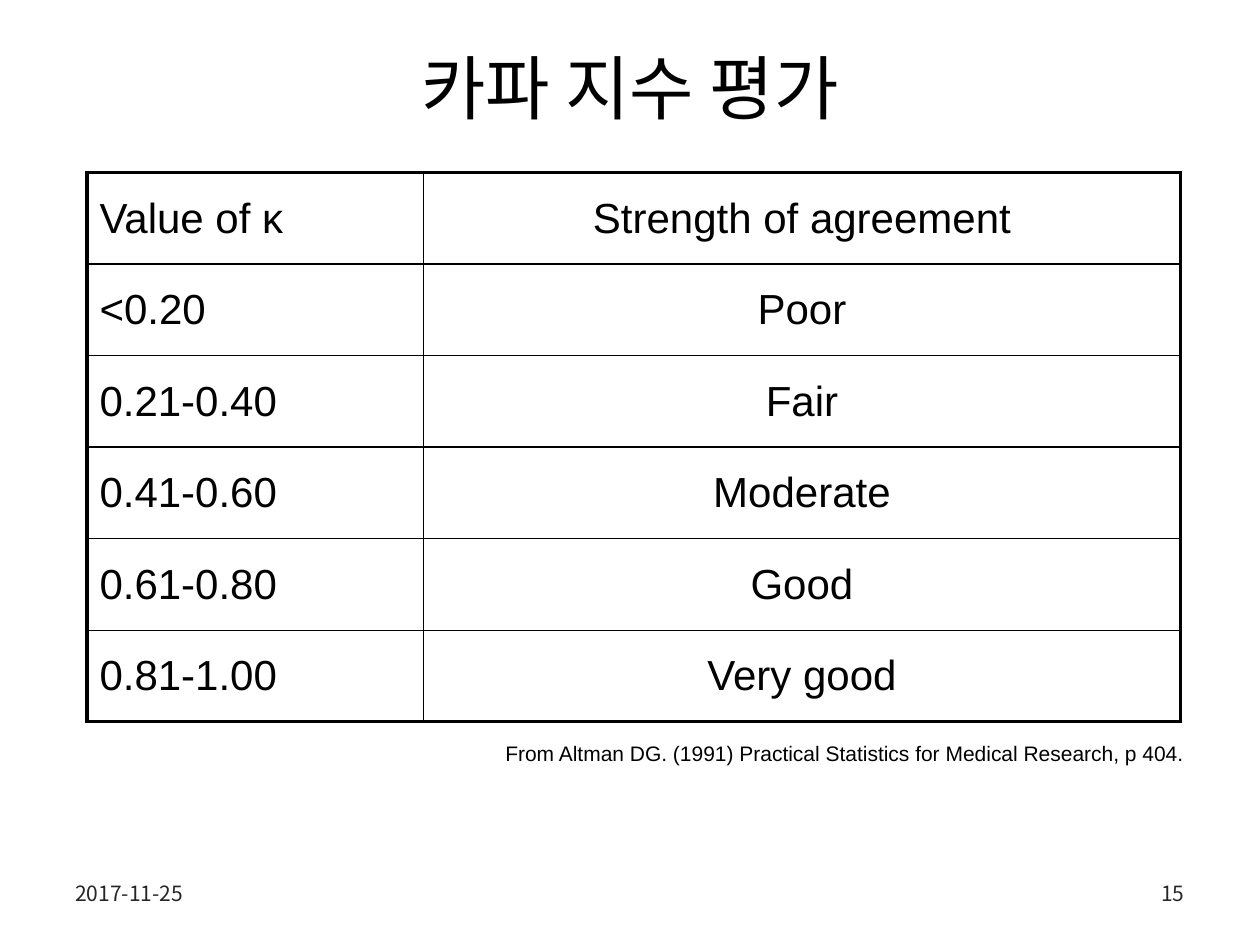
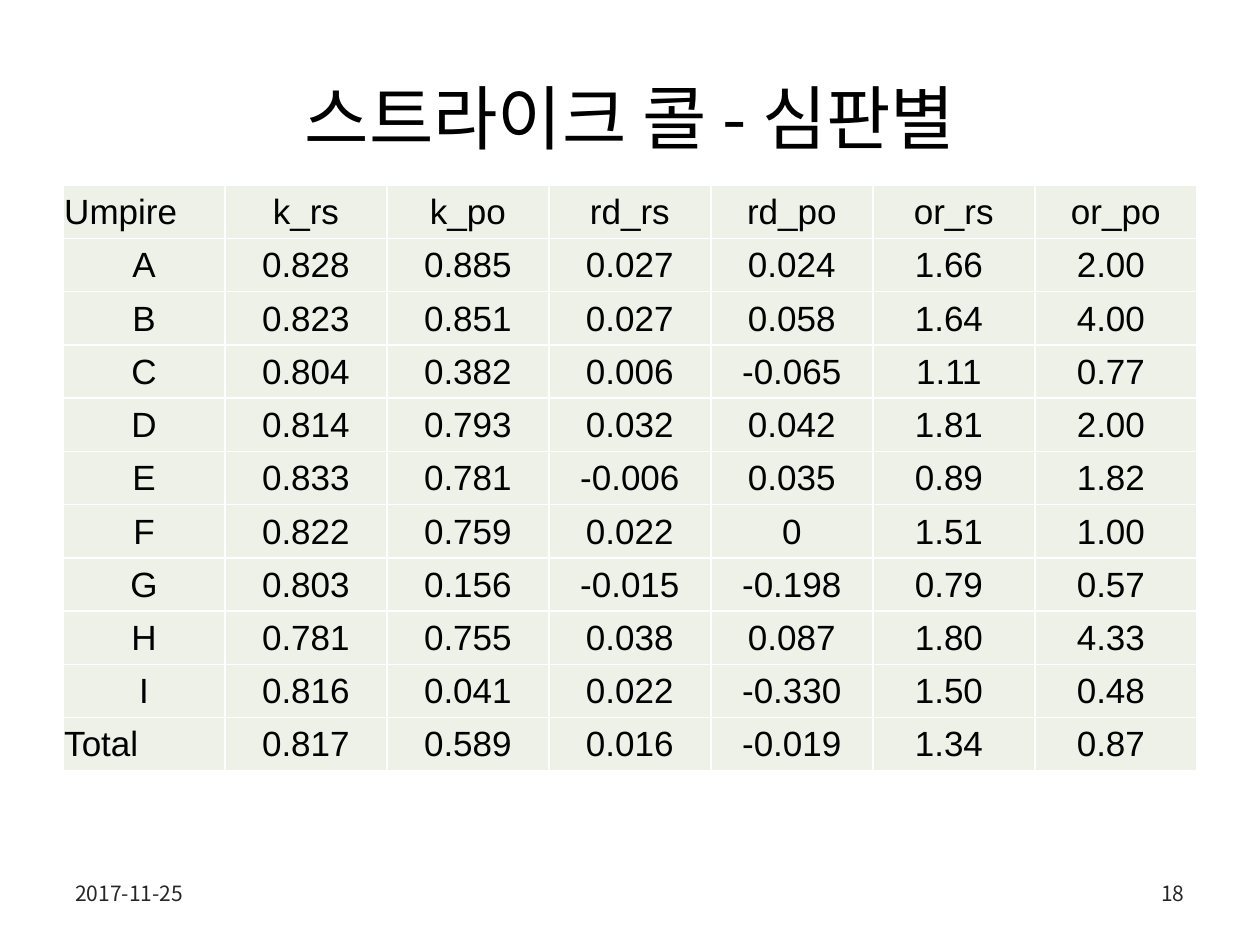
from lxml import etree
from pptx import Presentation
from pptx import util as u
from pptx.dml.color import RGBColor
from pptx.enum import text
from pptx.oxml import ns

BLACK = RGBColor(0x00, 0x00, 0x00)
GREY = RGBColor(0x26, 0x26, 0x26)
WHITE = RGBColor(0xFF, 0xFF, 0xFF)
PALE_GREEN = RGBColor(0xED, 0xF1, 0xE8)

KOREAN = "Noto Sans CJK KR"
LATIN = "Arial"
LEFT, CENTER, RIGHT = text.PP_ALIGN.LEFT, text.PP_ALIGN.CENTER, text.PP_ALIGN.RIGHT
MIDDLE, TOP = text.MSO_ANCHOR.MIDDLE, text.MSO_ANCHOR.TOP

# Grid of half-inch squares
COLUMNS, ROWS = 20, 15
MARGIN = 1
FULL_WIDTH = COLUMNS - 2 * MARGIN

KAPPA_ROWS = [
    ("Value of κ", "Strength of agreement"),
    ("<0.20", "Poor"),
    ("0.21-0.40", "Fair"),
    ("0.41-0.60", "Moderate"),
    ("0.61-0.80", "Good"),
    ("0.81-1.00", "Very good"),
]

UMPIRE_ROWS = [
    ("Umpire", "k_rs", "k_po", "rd_rs", "rd_po", "or_rs", "or_po"),
    ("A", "0.828", "0.885", "0.027", "0.024", "1.66 ", "2.00 "),
    ("B", "0.823", "0.851", "0.027", "0.058", "1.64 ", "4.00 "),
    ("C", "0.804", "0.382", "0.006", "-0.065", "1.11 ", "0.77 "),
    ("D", "0.814", "0.793", "0.032", "0.042", "1.81 ", "2.00 "),
    ("E", "0.833", "0.781", "-0.006", "0.035", "0.89 ", "1.82 "),
    ("F", "0.822", "0.759", "0.022", "0", "1.51 ", "1.00 "),
    ("G", "0.803", "0.156", "-0.015", "-0.198", "0.79 ", "0.57 "),
    ("H", "0.781", "0.755", "0.038", "0.087", "1.80 ", "4.33 "),
    ("I", "0.816", "0.041", "0.022", "-0.330", "1.50 ", "0.48 "),
    ("Total", "0.817", "0.589", "0.016", "-0.019", "1.34 ", "0.87 "),
]


class Deck:
    """Holds the shared style and the current slide."""

    def __init__(self):
        self.file = Presentation()
        self.file.slide_width, self.file.slide_height = u.Inches(10), u.Inches(7.5)
        self.slide = None

    def across(self, columns):
        return round(self.file.slide_width * columns / COLUMNS)

    def down(self, rows):
        return round(self.file.slide_height * rows / ROWS)

    def area(self, left, top, width, height):
        return self.across(left), self.down(top), self.across(width), self.down(height)

    def page(self, title, title_height, number):
        self.slide = self.file.slides.add_slide(self.file.slide_layouts[6])
        self.slide.background.fill.solid()
        self.slide.background.fill.fore_color.rgb = WHITE
        self.label(title, (MARGIN, 0.6, FULL_WIDTH, title_height), 40, KOREAN, BLACK, CENTER)
        # Footer: date on the left, page number on the right
        width = 4.66
        for words, left, align in (("2017-11-25", MARGIN, LEFT),
                                   (number, COLUMNS - MARGIN - width, RIGHT)):
            self.label(words, (left, 13.66, width, 1.04), 12, KOREAN, GREY, align)

    def style(self, para, size, font, color, align):
        para.alignment = align
        for span in para.runs:
            span.font.size, span.font.name = u.Pt(size), font
            span.font.color.rgb = color
            east_asian = etree.SubElement(span.font._element, ns.qn("a:ea"))
            east_asian.set("typeface", font)

    def label(self, words, place, size, font, color, align, anchor=MIDDLE, wrap=True):
        frame = self.slide.shapes.add_textbox(*self.area(*place)).text_frame
        frame.word_wrap = wrap
        frame.vertical_anchor = anchor
        frame.text = words
        self.style(frame.paragraphs[0], size, font, color, align)

    def border(self, cell, sides, color):
        """Draws the cell's edges; sides maps L, R, T, B to a width in points."""
        properties = cell._tc.get_or_add_tcPr()
        for side, width in sides.items():
            line = etree.SubElement(properties, ns.qn("a:ln" + side), w=str(u.Pt(width)))
            fill = etree.SubElement(line, ns.qn("a:solidFill"))
            etree.SubElement(fill, ns.qn("a:srgbClr"), val=str(color))

    def table(self, rows, place, widths, size, is_left, line, outer=1, fill=None,
              inset=None, space_before=0):
        table = self.slide.shapes.add_table(len(rows), len(widths), *self.area(*place)).table
        table.first_row = table.horz_banding = False
        for column, width in zip(table.columns, widths):
            column.width = self.across(width)
        last_row, last_column = len(rows) - 1, len(widths) - 1
        for r, values in enumerate(rows):
            table.rows[r].height = self.down(place[3] / len(rows))
            for c, value in enumerate(values):
                cell = table.cell(r, c)
                cell.text = value
                cell.vertical_anchor = MIDDLE
                para = cell.text_frame.paragraphs[0]
                self.style(para, size, LATIN, BLACK, LEFT if is_left(r, c) else CENTER)
                if space_before:
                    spacing = etree.SubElement(para._p.get_or_add_pPr(), ns.qn("a:spcBef"))
                    etree.SubElement(spacing, ns.qn("a:spcPct"), val=str(space_before * 1000))
                if inset is not None:
                    cell.margin_left = cell.margin_right = cell.margin_top = u.Inches(inset)
                    cell.margin_bottom = 0
                edges = {"L": c == 0, "R": c == last_column, "T": r == 0, "B": r == last_row}
                self.border(cell, {side: outer if is_outer else 1
                                   for side, is_outer in edges.items()}, line)
                if fill is None:
                    cell.fill.background()
                else:
                    cell.fill.solid()
                    cell.fill.fore_color.rgb = fill


def main():
    deck = Deck()

    # Rating of the kappa index
    deck.page("카파 지수 평가", 1.54, "15")
    deck.table(KAPPA_ROWS, (1.38, 2.74, 17.36, 8.72), (5.34, 12.02), 24,
               lambda r, c: c == 0, BLACK, outer=2.25, space_before=20)
    deck.label("From Altman DG. (1991) Practical Statistics for Medical Research, p 404.",
               (7.6, 11.66, 11.4, 0.6), 12, LATIN, BLACK, RIGHT, TOP, wrap=False)

    # Strike calls by umpire
    deck.page("스트라이크 콜 - 심판별", 2.5, "18")
    count = len(UMPIRE_ROWS[0])
    deck.table(UMPIRE_ROWS, (MARGIN, 2.94, FULL_WIDTH, 9.3), [FULL_WIDTH / count] * count, 20,
               lambda r, c: c == 0 and r in (0, len(UMPIRE_ROWS) - 1),
               WHITE, fill=PALE_GREEN, inset=0.01)

    deck.file.save("out.pptx")


if __name__ == "__main__":
    main()
